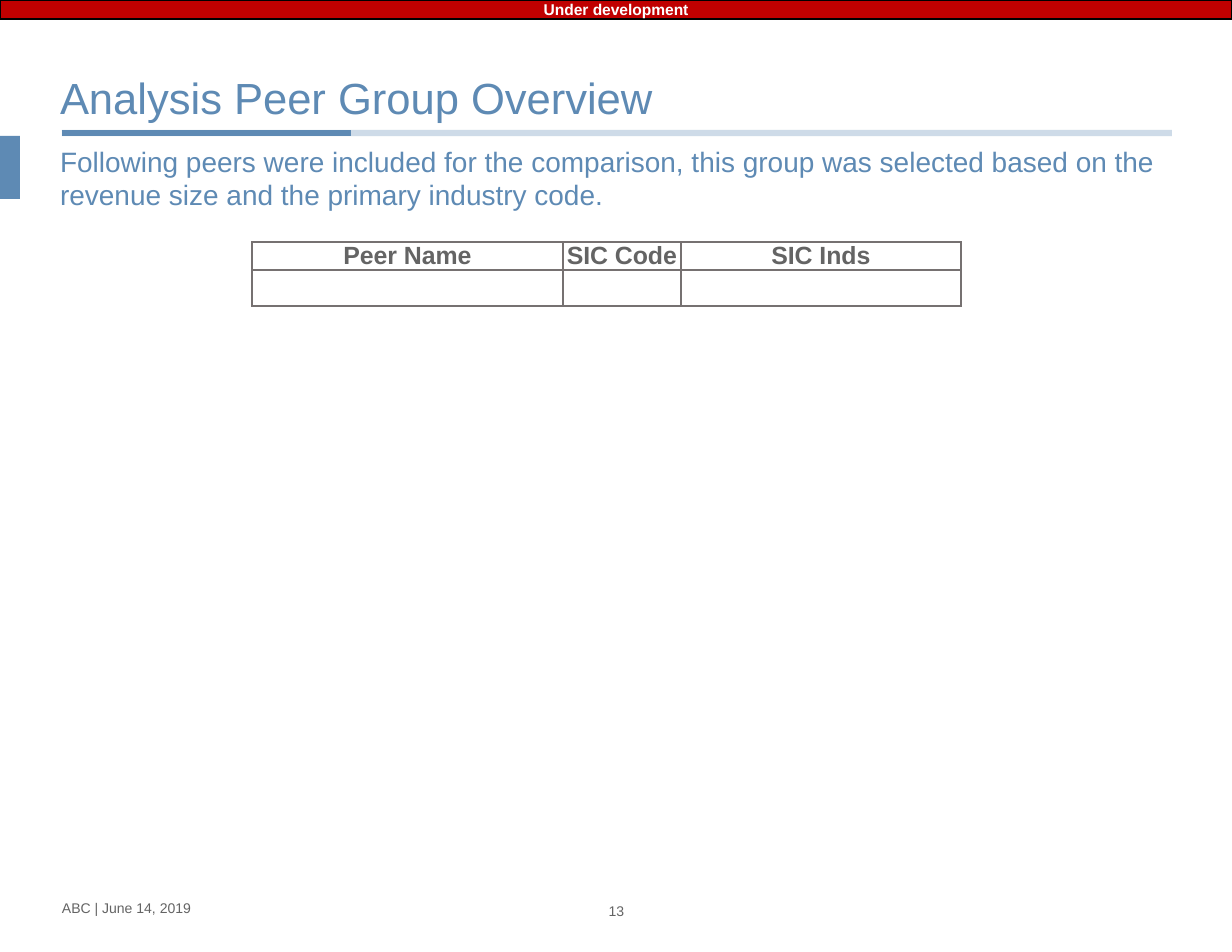
from lxml import etree
from pptx import Presentation
from pptx.dml.color import RGBColor
from pptx.enum.shapes import MSO_CONNECTOR, MSO_SHAPE
from pptx.enum.text import MSO_ANCHOR, MSO_AUTO_SIZE, PP_ALIGN
from pptx.oxml.ns import qn
from pptx.util import Emu, Pt

PX = 914400 // 112
BLUE, GREY, BORDER = "5E8AB4", "646464", "767171"
RED, WHITE, BLACK = "C00000", "FFFFFF", "000000"


def px(*lengths):
    return [Emu(length * PX) for length in lengths]


def rgb(value):
    return RGBColor.from_string(value)


def write(frame, text, size, color, bold=False, align=PP_ALIGN.LEFT,
          anchor=MSO_ANCHOR.TOP, after=0):
    """Fill a text frame with one formatted paragraph and no insets."""
    frame.margin_left = frame.margin_right = frame.margin_top = frame.margin_bottom = 0
    frame.word_wrap = True
    frame.auto_size = MSO_AUTO_SIZE.NONE
    frame.vertical_anchor = anchor
    frame.text = text
    format_paragraph(frame.paragraphs[0], size, color, bold, align, after)


def format_paragraph(paragraph, size, color, bold, align, after=0):
    paragraph.alignment = align
    paragraph.space_before = Pt(0)
    paragraph.space_after = Pt(after)
    for run in paragraph.runs:
        run.font.name = "Arial"
        run.font.size = Pt(size)
        run.font.bold = bold
        run.font.color.rgb = rgb(color)


def place(shape, left, top, width, height):
    shape.left, shape.top, shape.width, shape.height = px(left, top, width, height)


def remove_bullet(paragraph):
    properties = paragraph._p.get_or_add_pPr()
    properties.set("marL", "0")
    properties.set("indent", "0")
    etree.SubElement(properties, qn("a:buNone"))


def add_bar(slide, box, fill, line=None):
    bar = slide.shapes.add_shape(MSO_SHAPE.RECTANGLE, *px(*box))
    bar.shadow.inherit = False
    bar.fill.solid()
    bar.fill.fore_color.rgb = rgb(fill)
    if line:
        bar.line.color.rgb = rgb(line)
        bar.line.width = Pt(1)
    else:
        bar.line.fill.background()
    return bar


def add_rule(slide, left, right, y, opacity=100):
    rule = slide.shapes.add_connector(MSO_CONNECTOR.STRAIGHT, *px(left, y, right, y))
    rule.line.color.rgb = rgb(BLUE)
    rule.line.width = Pt(4)
    if opacity < 100:
        color = rule._element.spPr.find(f".//{qn('a:srgbClr')}")
        etree.SubElement(color, qn("a:alpha"), val=str(opacity * 1000))
    etree.SubElement(rule._element.spPr, qn("a:effectLst"))


def add_label(slide, box, text, align=PP_ALIGN.LEFT):
    label = slide.shapes.add_textbox(*px(*box))
    write(label.text_frame, text, 9, GREY, align=align)


def style_cell(cell):
    cell.margin_left = cell.margin_right = cell.margin_top = cell.margin_bottom = 0
    cell.vertical_anchor = MSO_ANCHOR.MIDDLE
    properties = cell._tc.get_or_add_tcPr()
    for side in ("a:lnL", "a:lnR", "a:lnT", "a:lnB"):
        border = etree.SubElement(properties, qn(side), w=str(Pt(1)))
        fill = etree.SubElement(border, qn("a:solidFill"))
        etree.SubElement(fill, qn("a:srgbClr"), val=BORDER)
    cell.fill.solid()
    cell.fill.fore_color.rgb = rgb(WHITE)


def add_peer_table(slide, left, top, headers, widths, heights):
    peers = slide.shapes.add_table(
        len(heights), len(headers), *px(left, top, sum(widths), sum(heights))).table
    peers.horz_banding = False
    for column, width in zip(peers.columns, px(*widths)):
        column.width = width
    for row, height in zip(peers.rows, px(*heights)):
        row.height = height
    for cell in peers.iter_cells():
        style_cell(cell)
    for cell, header in zip(peers.rows[0].cells, headers):
        cell.text = header
        format_paragraph(cell.text_frame.paragraphs[0], 16, GREY, True, PP_ALIGN.CENTER)


def main():
    presentation = Presentation()
    presentation.slide_width, presentation.slide_height = px(1232, 952)
    slide = presentation.slides.add_slide(presentation.slide_layouts[1])
    title, intro = slide.placeholders

    add_bar(slide, (0, 136, 20, 63), BLUE)
    add_label(slide, (596, 903, 41, 17), "13", PP_ALIGN.CENTER)
    add_label(slide, (62, 900, 475, 17), "ABC | June 14, 2019")
    add_rule(slide, 62, 1172, 133, opacity=30)
    add_rule(slide, 62, 351, 133)

    place(title, 60, 47, 1110, 101)
    write(title.text_frame, "Analysis Peer Group Overview", 28, BLUE,
          anchor=MSO_ANCHOR.MIDDLE)
    place(intro, 60, 144, 1110, 68)
    write(intro.text_frame,
          "Following peers were included for the comparison, this group was "
          "selected based on the revenue size and the primary industry code.",
          18, BLUE, after=8)
    remove_bullet(intro.text_frame.paragraphs[0])

    add_peer_table(slide, 252, 242, ("Peer Name", "SIC Code", "SIC Inds"),
                   widths=(311, 118, 280), heights=(28, 36))

    status = add_bar(slide, (0, 0, 1232, 19), RED, line=BLACK)
    write(status.text_frame, "Under development", 10, WHITE, bold=True,
          align=PP_ALIGN.CENTER, anchor=MSO_ANCHOR.MIDDLE, after=4)

    presentation.save("out.pptx")


if __name__ == "__main__":
    main()
